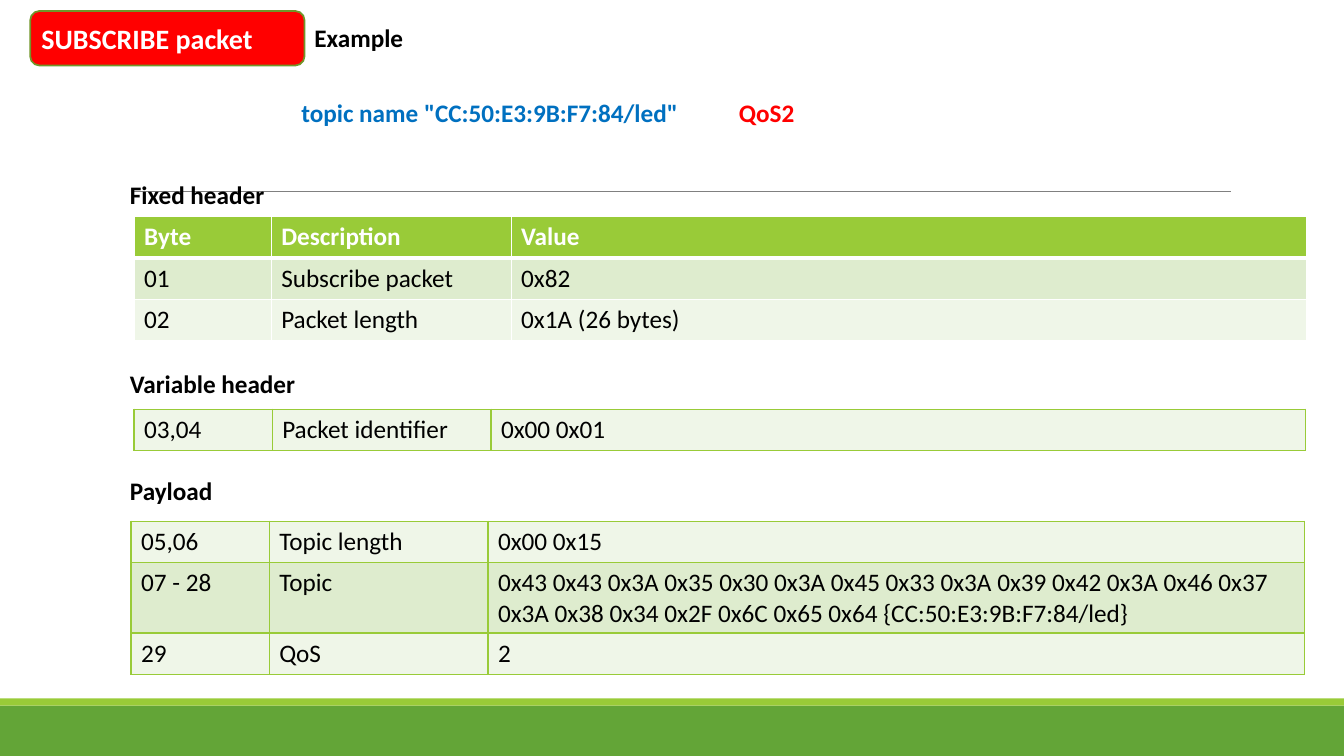
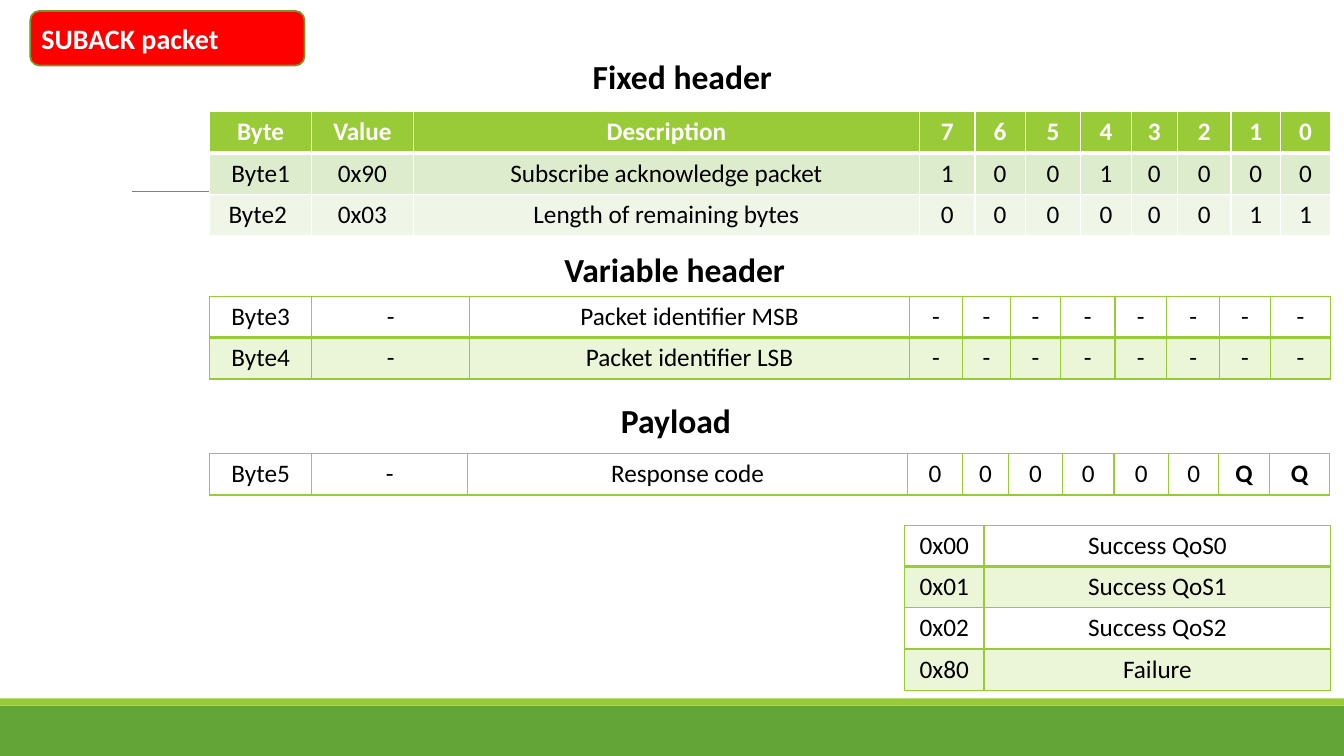
from lxml.etree import SubElement
from pptx import Presentation
from pptx.dml.color import RGBColor
from pptx.enum.shapes import MSO_CONNECTOR, MSO_SHAPE
from pptx.enum.text import MSO_ANCHOR, PP_ALIGN
from pptx.oxml import parse_xml
from pptx.oxml.ns import nsdecls, qn
from pptx.util import Inches, Pt

FONT = "Calibri"
ROW_HEIGHT = 0.41
COLORS = {
    "green": "63A537", "lime": "99CB38", "olive": "719629", "gray": "808080",
    "red": "FF0000", "blue": "0070C0", "black": "000000", "white": "FFFFFF",
    "band": "DEECCE", "pale": "EFF6E8", "tint": "EBF5D7",
}

# Table looks: header fill, alternating row fills, border colour, rule under the first row
STYLES = {
    "headed": dict(header="lime", fills=("band", "pale"), border="white", first_rule=3),
    "grid": dict(header=None, fills=("pale", "band"), border="lime", first_rule=1),
    "outline": dict(header=None, fills=(None, "tint"), border="lime", first_rule=2),
}

# Content: labels are (text, left, top, width, height, size, colour)
SLIDES = [
    dict(
        title="SUBSCRIBE packet",
        align=PP_ALIGN.LEFT,
        labels=[
            ("Example", 3.02, 0.17, 1.27, 0.4, 18, "black"),
            ('topic name "CC:50:E3:9B:F7:84/led"', 2.89, 0.92, 4.58, 0.4, 18, "blue"),
            ("QoS2", 7.23, 0.92, 0.85, 0.4, 18, "red"),
            ("Fixed header", 1.19, 1.73, 1.81, 0.4, 18, "black"),
            ("Variable header", 1.19, 3.61, 2.2, 0.4, 18, "black"),
            ("Payload", 1.19, 4.67, 1.21, 0.4, 18, "black"),
        ],
        tables=[
            dict(style="headed", at=(1.33, 2.15), widths=(1.36, 2.38, 7.89), rows=[
                ("Byte", "Description", "Value"),
                ("01", "Subscribe packet", "0x82"),
                ("02", "Packet length", "0x1A (26 bytes)"),
            ]),
            dict(style="grid", at=(1.33, 4.06), widths=(1.37, 2.17, 8.08), rows=[
                ("03,04", "Packet identifier", "0x00 0x01"),
            ]),
            dict(style="grid", at=(1.3, 5.17), widths=(1.37, 2.17, 8.1),
                 heights=(ROW_HEIGHT, 0.7, ROW_HEIGHT), rows=[
                ("05,06", "Topic length", "0x00 0x15"),
                ("07 - 28", "Topic",
                 "0x43 0x43 0x3A 0x35 0x30 0x3A 0x45 0x33 0x3A 0x39 0x42 0x3A 0x46 0x37 "
                 "0x3A 0x38 0x34 0x2F 0x6C 0x65 0x64 {CC:50:E3:9B:F7:84/led}"),
                ("29", "QoS", "2"),
            ]),
        ],
    ),
    dict(
        title="SUBACK packet",
        align=PP_ALIGN.CENTER,
        labels=[
            ("Fixed header", 5.78, 0.51, 2.35, 0.5, 24, "black"),
            ("Variable header", 5.5, 2.42, 2.87, 0.5, 24, "black"),
            ("Payload", 6.06, 3.92, 1.55, 0.5, 24, "black"),
        ],
        tables=[
            dict(style="headed", at=(2.08, 1.11),
                 widths=(1.01, 1.01, 5.02, 0.55, 0.5, 0.55, 0.5, 0.46, 0.53, 0.49, 0.5), rows=[
                ("Byte", "Value", "Description", *"76543210"),
                ("Byte1", "0x90", "Subscribe acknowledge packet", *"10010000"),
                ("Byte2 ", "0x03", "Length of remaining bytes", *"00000011"),
            ]),
            dict(style="outline", at=(2.08, 2.94),
                 widths=(1.01, 1.57, 4.36, 0.53, 0.47, 0.5, 0.54, 0.51, 0.53, 0.5, 0.6), rows=[
                ("Byte3", "-", "Packet identifier MSB", *"--------"),
                ("Byte4", "-", "Packet identifier LSB", *"--------"),
            ]),
            dict(style="outline", at=(2.08, 4.5),
                 widths=(1.01, 1.55, 4.36, 0.55, 0.45, 0.54, 0.51, 0.54, 0.5, 0.5, 0.6), rows=[
                ("Byte5", "-", "Response code", *"000000QQ"),
            ]),
            dict(style="outline", at=(8.97, 5.21), widths=(0.79, 3.44), rows=[
                ("0x00", "Success QoS0"),
                ("0x01", "Success QoS1"),
                ("0x02", "Success QoS2"),
                ("0x80", "Failure"),
            ]),
        ],
    ),
]


def rgb(color):
    return RGBColor.from_string(COLORS[color])


def write(frame, text, size, color, bold=True, align=PP_ALIGN.LEFT):
    frame.text = text
    paragraph = frame.paragraphs[0]
    paragraph.alignment = align
    font = paragraph.runs[0].font
    font.name, font.size, font.bold = FONT, Pt(size), bold
    font.color.rgb = rgb(color)


def add_block(slide, preset, box, fill, line=None):
    block = slide.shapes.add_shape(preset, *map(Inches, box))
    block.shadow.inherit = False
    block.fill.solid()
    block.fill.fore_color.rgb = rgb(fill)
    if line:
        block.line.color.rgb = rgb(line)
        block.line.width = Pt(1.25)
    else:
        block.line.fill.background()
    return block


def add_shared_parts(slide, layout):
    """Draw bands, rule and title badge, then hand them to the layout."""
    rule = slide.shapes.add_connector(
        MSO_CONNECTOR.STRAIGHT, Inches(1.31), Inches(1.9), Inches(12.21), Inches(1.9))
    rule.line.color.rgb = rgb("gray")
    rule.line.width = Pt(0.5)
    SubElement(rule.element.spPr, qn("a:effectLst"))
    parts = [
        add_block(slide, MSO_SHAPE.RECTANGLE, (0, 7, 13.33, 0.5), "green"),
        add_block(slide, MSO_SHAPE.RECTANGLE, (0, 6.93, 13.33, 0.07), "lime"),
        rule,
        add_block(slide, MSO_SHAPE.ROUNDED_RECTANGLE, (0.3, 0.11, 2.72, 0.54), "red", "olive"),
    ]
    for part in parts:
        layout.shapes.element.append(part.element)


def add_label(slide, text, left, top, width, height, size, color):
    label = slide.shapes.add_textbox(*map(Inches, (left, top, width, height)))
    label.text_frame.word_wrap = True
    write(label.text_frame, text, size, color)


def set_borders(cell, color, top, bottom):
    properties = cell._tc.get_or_add_tcPr()
    sides = (("lnL", 1), ("lnR", 1), ("lnT", top), ("lnB", bottom))
    for position, (side, width) in enumerate(sides):
        properties.insert(position, parse_xml(
            f'<a:{side} {nsdecls("a")} w="{Pt(width)}"><a:solidFill>'
            f'<a:srgbClr val="{COLORS[color]}"/></a:solidFill></a:{side}>'))


def add_packet_table(slide, align, style, at, widths, rows, heights=None):
    look = STYLES[style]
    heights = heights or [ROW_HEIGHT] * len(rows)
    table = slide.shapes.add_table(
        len(rows), len(widths),
        *map(Inches, (*at, sum(widths), sum(heights)))).table
    table.first_row = table.horz_banding = False
    for column, width in zip(table.columns, widths):
        column.width = Inches(width)
    fills = ([look["header"]] if look["header"] else []) + list(look["fills"]) * len(rows)
    rules = [1, look["first_rule"]] + [1] * len(rows)

    for r, values in enumerate(rows):
        table.rows[r].height = Inches(heights[r])
        heading = bool(look["header"]) and r == 0
        for c, value in enumerate(values):
            cell = table.cell(r, c)
            write(cell.text_frame, value, 18, "white" if heading else "black",
                  heading or value == "Q", align)
            if fills[r]:
                cell.fill.solid()
                cell.fill.fore_color.rgb = rgb(fills[r])
            else:
                cell.fill.background()
            set_borders(cell, look["border"], rules[r], rules[r + 1])


def add_title(slide, text):
    title = slide.shapes.title
    title.left, title.top, title.width, title.height = map(Inches, (0.31, 0.16, 2.72, 0.44))
    title.text_frame.vertical_anchor = MSO_ANCHOR.TOP
    write(title.text_frame, text, 20, "white")


def main():
    deck = Presentation()
    deck.slide_width, deck.slide_height = Inches(13.33), Inches(7.5)
    layout = deck.slide_layouts[5]
    for number, content in enumerate(SLIDES):
        slide = deck.slides.add_slide(layout)
        if number == 0:
            add_shared_parts(slide, layout)
        add_title(slide, content["title"])
        for label in content["labels"]:
            add_label(slide, *label)
        for table in content["tables"]:
            add_packet_table(slide, content["align"], **table)
    deck.save("out.pptx")


if __name__ == "__main__":
    main()
